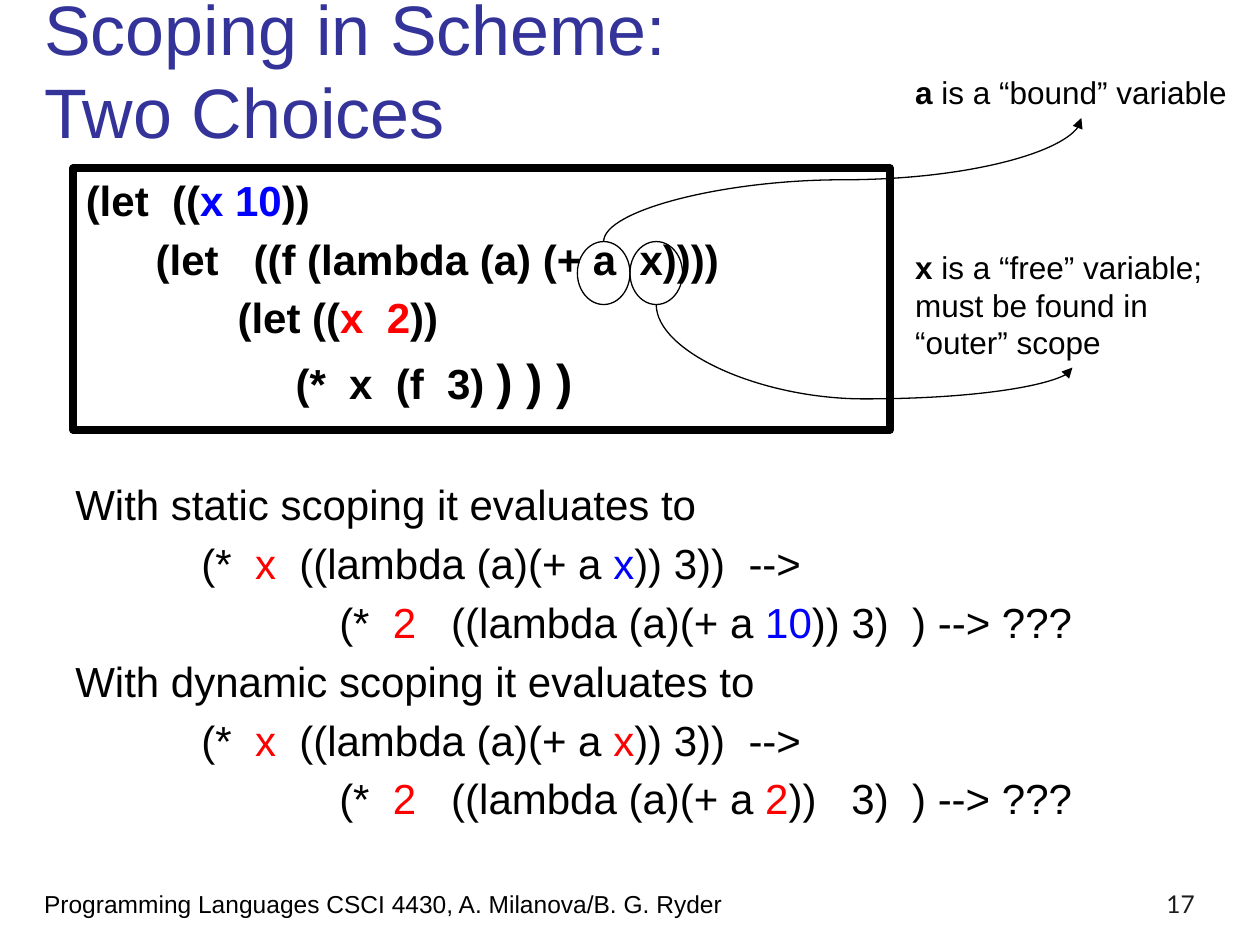
from dataclasses import dataclass

from lxml import etree
from pptx import Presentation
from pptx import util as u
from pptx.dml import color
from pptx.enum import shapes, text
from pptx.oxml import ns

BLACK, RED, BLUE, TITLE_BLUE, GREY = "000000", "FF0000", "0000FF", "333399", "1C1C1C"
THIN, THICK = 0.75, 4.5


@dataclass
class Span:
    words: str
    hue: str = BLACK
    bold: bool = False
    size: float = 0


@dataclass
class Line:
    spans: list[Span]
    indent: float = 0


@dataclass
class Block:
    left: float
    top: float
    width: float
    height: float
    lines: list[Line]
    size: float
    font: str = "Arial"
    gap: float = 0
    bottom: bool = False
    right: bool = False


@dataclass
class Arrow:
    start: tuple[float, float]
    end: tuple[float, float]
    turn: int
    bend: int


def rgb(value: str) -> color.RGBColor:
    return color.RGBColor.from_string(value)


def write(shape, block: Block) -> None:
    frame = shape.text_frame
    frame.word_wrap = True
    frame.vertical_anchor = text.MSO_ANCHOR.BOTTOM if block.bottom else text.MSO_ANCHOR.TOP
    for index, line in enumerate(block.lines):
        para = frame.paragraphs[0] if index == 0 else frame.add_paragraph()
        para.alignment = text.PP_ALIGN.RIGHT if block.right else text.PP_ALIGN.LEFT
        para.space_before = u.Pt(block.gap)
        properties = para._p.get_or_add_pPr()
        properties.set("marL", str(u.Cm(line.indent)))
        properties.set("indent", "0")
        for span in line.spans:
            for position, part in enumerate(span.words.split("\n")):
                if position:
                    para.add_line_break()
                run = para.add_run()
                run.text = part
                run.font.name = block.font
                run.font.size = u.Pt(span.size or block.size)
                run.font.bold = span.bold
                run.font.color.rgb = rgb(span.hue)


def add_text(page, block: Block) -> None:
    box = page.shapes.add_textbox(
        u.Cm(block.left), u.Cm(block.top), u.Cm(block.width), u.Cm(block.height))
    write(box, block)


def add_outline(page, kind, left: float, top: float, width: float, height: float, weight: float):
    shape = page.shapes.add_shape(kind, u.Cm(left), u.Cm(top), u.Cm(width), u.Cm(height))
    shape.shadow.inherit = False
    shape.fill.background()
    shape.line.color.rgb = rgb(BLACK)
    shape.line.width = u.Pt(weight)
    return shape


def add_arrow(page, arrow: Arrow) -> None:
    (x1, y1), (x2, y2) = arrow.start, arrow.end
    middle_x, middle_y = (x1 + x2) / 2, (y1 + y2) / 2
    sign = 1 if arrow.turn == 90 else -1
    across, down = sign * (y1 - y2) / 2, sign * (x2 - x1) / 2
    curve = page.shapes.add_connector(
        shapes.MSO_CONNECTOR.CURVE,
        u.Cm(middle_x + across), u.Cm(middle_y + down),
        u.Cm(middle_x - across), u.Cm(middle_y - down))
    curve.line.color.rgb = rgb(BLACK)
    curve.line.width = u.Pt(THIN)
    properties = curve._element.spPr
    properties.find(ns.qn("a:xfrm")).set("rot", str(arrow.turn * 60000))
    guides = properties.find(ns.qn("a:prstGeom")).get_or_add_avLst()
    etree.SubElement(guides, ns.qn("a:gd"), name="adj1", fmla=f"val {arrow.bend}")
    etree.SubElement(curve.line._get_or_add_ln(), ns.qn("a:tailEnd"), type="triangle")
    etree.SubElement(properties, ns.qn("a:effectLst"))


def evaluation(scope: str, hue: str, value: str, ending: str) -> list[Line]:
    return [
        Line([Span(f"With {scope} scoping it evaluates to")]),
        Line([Span("(*  "), Span("x", RED), Span("  ((lambda (a)(+ a "),
              Span("x", hue), Span(")) 3))  -->")], 2.54),
        Line([Span("(*  "), Span("2", RED), Span("   ((lambda (a)(+ a "),
              Span(value, hue), Span(ending)], 5.32),
    ]


def code(*spans: Span, indent: float = 0) -> Line:
    for span in spans:
        span.bold = True
    return Line(list(spans), indent)


CODE = Block(1.48, 3.39, 16.46, 5.28, [
    code(Span("(let  (("), Span("x 10", BLUE), Span("))")),
    code(Span("(let   ((f (lambda (a) (+ a  x))))"), indent=1.41),
    code(Span("(let (("), Span("x  2", RED), Span("))"), indent=3.06),
    code(Span("(*  x  (f  3) "), Span(") ) )", size=28), indent=4.23),
], 24, gap=4.8)

TEXTS = [
    Block(19.05, 17.36, 5.29, 1.27, [Line([Span("17", GREY)])], 14, "Lato",
          bottom=True, right=True),
    Block(1.27, 9.53, 22.44, 8.26,
          evaluation("static", BLUE, "10", ")) 3)  ) --> ???")
          + evaluation("dynamic", RED, "2", "))   3)  ) --> ???"), 24, gap=4.8),
    Block(0.64, 0.42, 24.18, 2.79,
          [Line([Span("Scoping in Scheme:\nTwo Choices", TITLE_BLUE)])], 40, bottom=True),
    Block(18.2, 1.35, 7.2, 1.02,
          [Line([Span("a", bold=True), Span(" is a “bound” variable")])], 18),
    Block(18.2, 4.87, 6.83, 2.54, [
        Line([Span("x", bold=True), Span(" is a “free” variable;")]),
        Line([Span("must be found in")]),
        Line([Span("“outer” scope")]),
    ], 18),
    Block(0.64, 17.36, 14.61, 1.27,
          [Line([Span("Programming Languages CSCI 4430, A. Milanova/B. G. Ryder")])], 14,
          bottom=True),
]

RING_LEFT, RING_TOP, RING_WIDTH, RING_HEIGHT = 11.64, 4.87, 1.06, 1.27
ARROWS = [
    Arrow((RING_LEFT + RING_WIDTH / 2, RING_TOP), (21.8, 2.38), 90, 50000),
    Arrow((RING_LEFT + RING_WIDTH * 1.5, RING_TOP + RING_HEIGHT), (21.62, 7.41), 270, 149800),
]

deck = Presentation()
deck.slide_width, deck.slide_height = u.Cm(25.4), u.Cm(19.05)
page = deck.slides.add_slide(deck.slide_layouts[6])

frame = add_outline(page, shapes.MSO_SHAPE.RECTANGLE,
                    CODE.left, CODE.top, CODE.width, CODE.height, THICK)
write(frame, CODE)
for block in TEXTS:
    add_text(page, block)
for column in range(2):
    add_outline(page, shapes.MSO_SHAPE.OVAL, RING_LEFT + column * RING_WIDTH,
                RING_TOP, RING_WIDTH, RING_HEIGHT, THIN)
for arrow in ARROWS:
    add_arrow(page, arrow)

deck.save("out.pptx")
